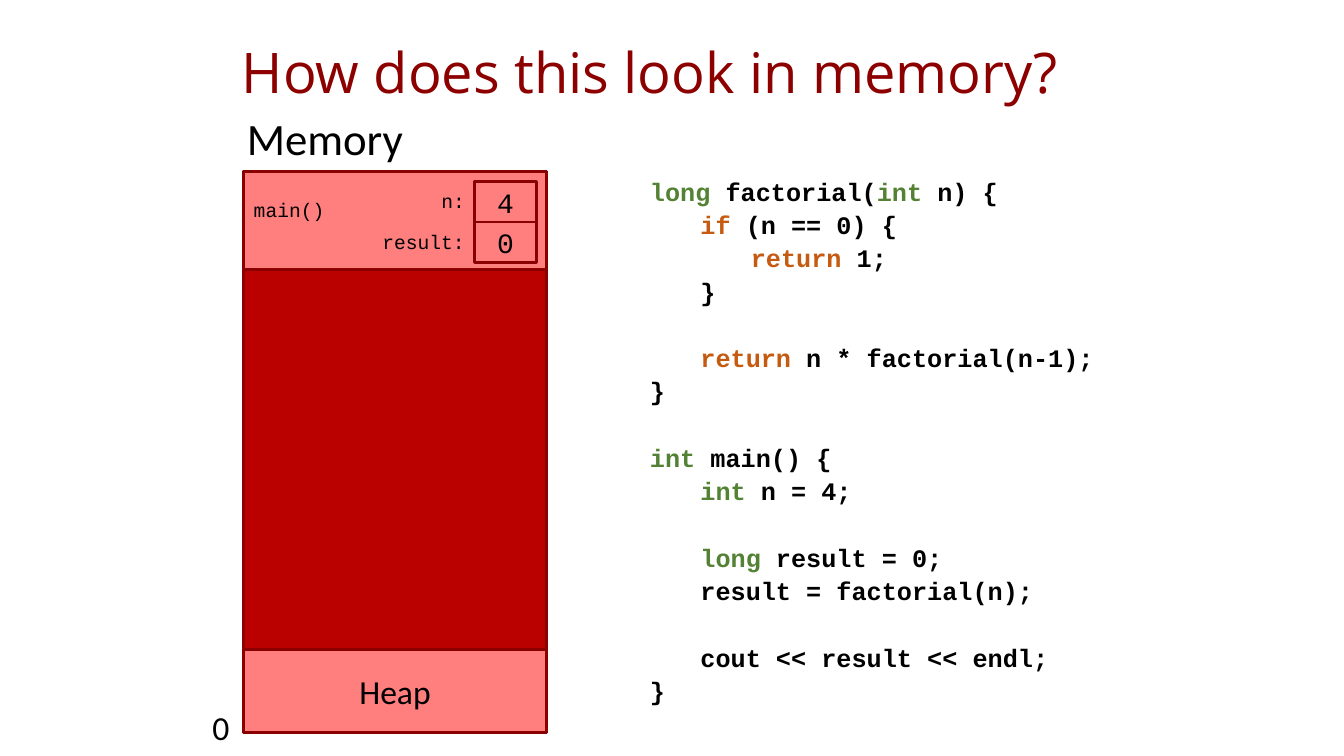
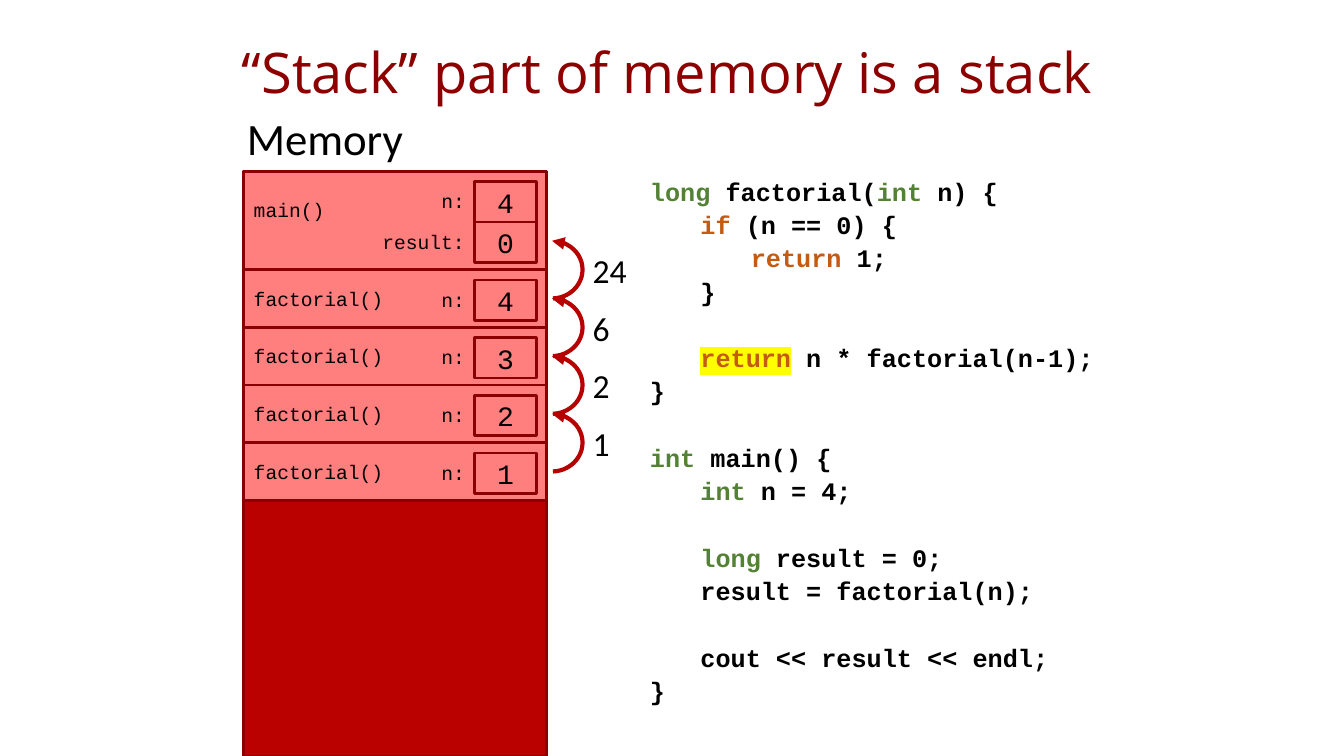
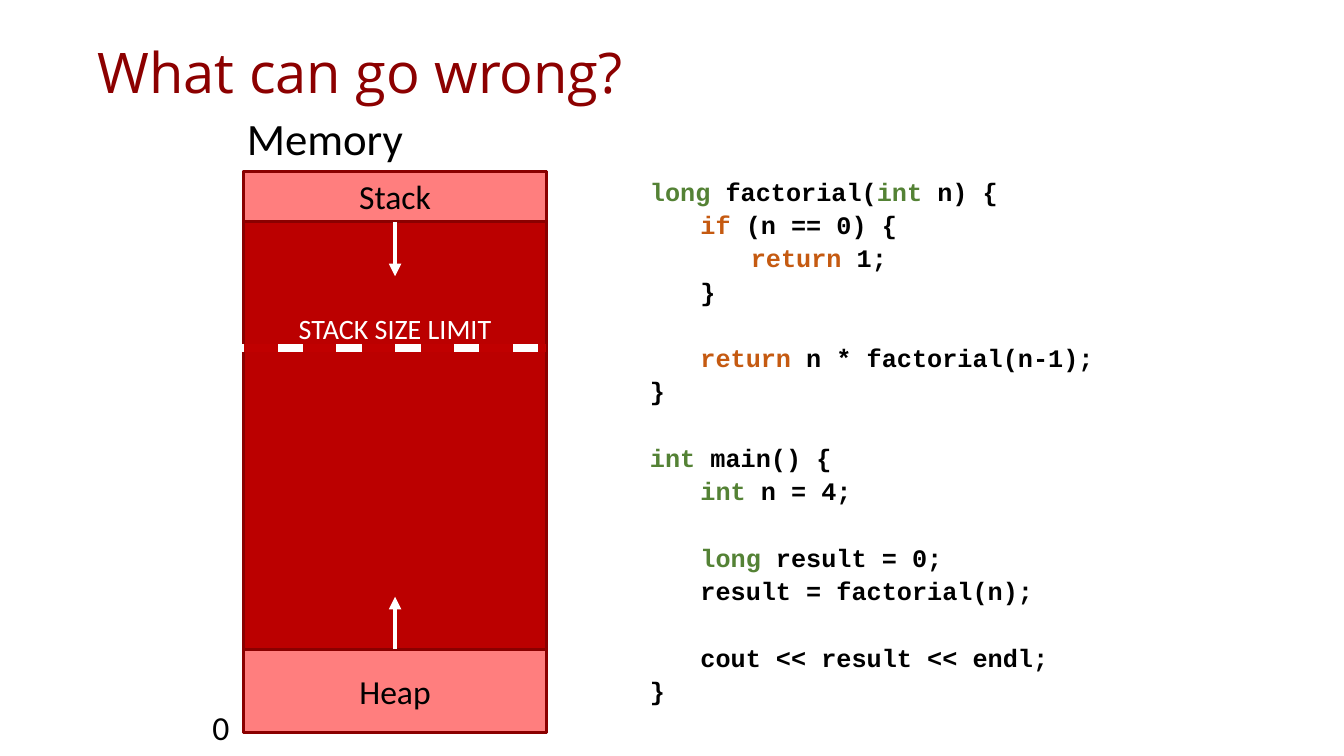
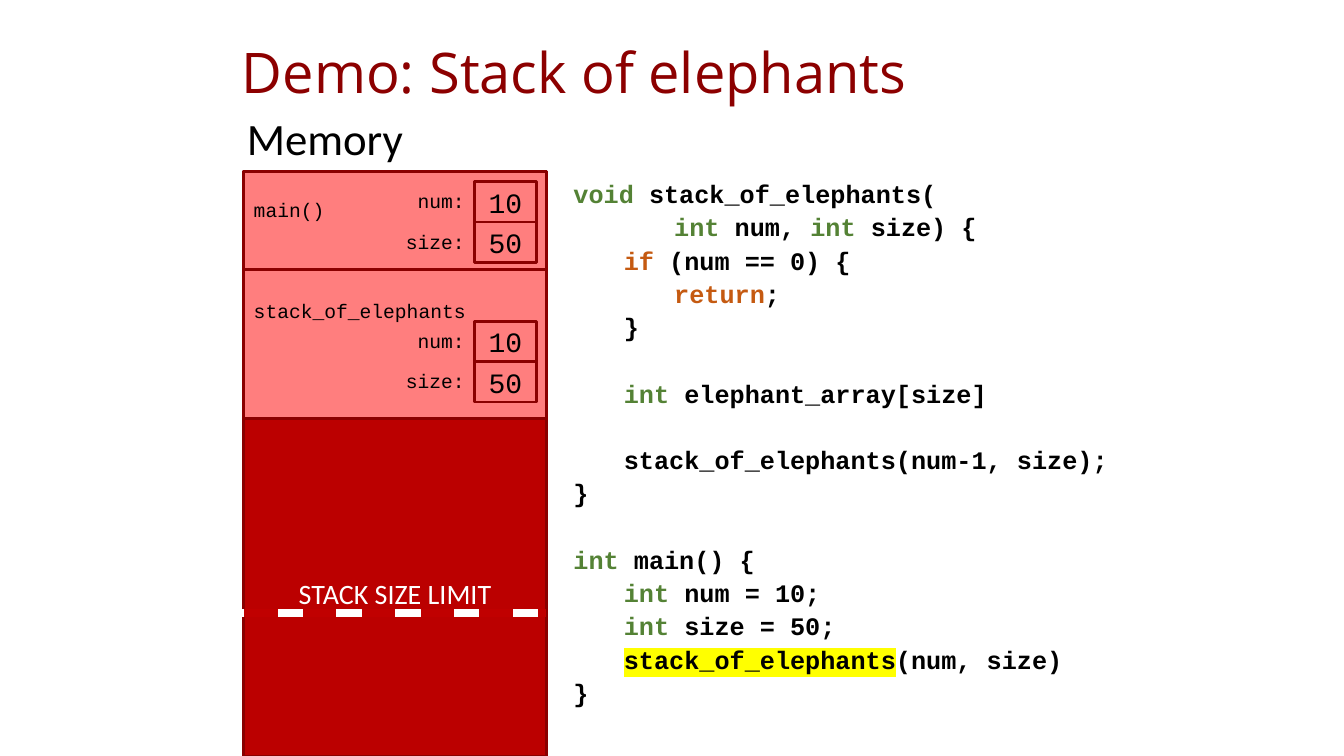
"""Builds four slides on recursion and stack memory."""
from itertools import groupby

from lxml.etree import SubElement
from pptx import Presentation
from pptx.dml.color import RGBColor
from pptx.enum.dml import MSO_LINE
from pptx.enum.shapes import MSO_CONNECTOR, MSO_SHAPE
from pptx.enum.text import MSO_ANCHOR as ANCHOR, PP_ALIGN as ALIGN
from pptx.oxml.ns import qn
from pptx.util import Pt

COLORS = {
    "title": "8C0000", "border": "8A0000", "memory": "BB0000", "frame": "FF7E7E",
    "arc": "B70000", "dash": "C00000", "text": "000000", "white": "FFFFFF",
    "type": "548235", "flow": "C55A11", "mark": "FFFF00",
}
SANS, MONO, HEADING = "Calibri", "Courier New", "Open Sans"
KEYWORDS = {"int": "type", "long": "type", "void": "type", "if": "flow", "return": "flow"}

FACTORIAL = """\
long factorial(int n) {
    if (n == 0) {
        return 1;
    }

    return n * factorial(n-1);
}

int main() {
    int n = 4;

    long result = 0;
    result = factorial(n);

    cout << result << endl;
}"""
ELEPHANTS = """\
void stack_of_elephants(
        int num, int size) {
    if (num == 0) {
        return;
    }

    int elephant_array[size]

    stack_of_elephants(num-1, size);
}

int main() {
    int num = 10;
    int size = 50;
    stack_of_elephants(num, size)
}"""
FACTORIAL_MAIN = [("n:", "4"), ("result:", "0")]
ELEPHANT_VARS = [("num:", "10"), ("size:", "50")]
CALLS = ["4", "3", "2", "1"]
RETURNS = ["24", "6", "2", "1"]

WIDTH, HEIGHT = 960, 540
LEFT, TOP, COL_W = 174.2, 122.4, 216
MIDDLE, RIGHT = LEFT + COL_W / 2, LEFT + COL_W
MEMORY_END, HEAP_TOP = 523.4, 463.7
MAIN_H, CALL_H, STEP = 70.2, 41.2, 41.2
CALLS_TOP = TOP + MAIN_H
CELL_X, CELL_W, CELL_H, CELL_PAD = 339.1, 43.9, 28.8, 7.4
LABEL_X, LABEL_H = 244.8, 27.4
LINE_14 = 15.8
CODE_INDENT, CODE_LINE = 36, 23.75


def rgb(name):
    return RGBColor.from_string(COLORS[name])


def add_run(p, text, size, font, color="text", bold=False, mark=False):
    r = p.add_run()
    r.text = text
    r.font.size, r.font.bold = Pt(size), bold
    r.font.color.rgb = rgb(color)
    if mark:
        highlight = SubElement(r.font._element, qn("a:highlight"))
        SubElement(highlight, qn("a:srgbClr"), val=COLORS["mark"])
    r.font.name = font


def put_text(sp, text, size=24, font=SANS, color="text", align=ALIGN.LEFT,
             anchor=ANCHOR.MIDDLE, spacing=None, before=None, wrap=True,
             margin=None, below=0):
    tf = sp.text_frame
    tf.word_wrap, tf.vertical_anchor = wrap, anchor
    if margin is not None:
        tf.margin_left = tf.margin_right = Pt(margin)
    tf.margin_bottom = Pt(3.6 + below)
    p = tf.paragraphs[0]
    p.alignment, p.line_spacing = align, spacing
    if before:
        p.space_before = Pt(before)
    add_run(p, text, size, font, color)


def add_text(s, x, y, w, h, text, **fmt):
    put_text(s.shapes.add_textbox(Pt(x), Pt(y), Pt(w), Pt(h)), text, **fmt)


def add_box(s, x, y, w, h, fill=None, text="", **fmt):
    sp = s.shapes.add_shape(MSO_SHAPE.RECTANGLE, Pt(x), Pt(y), Pt(w), Pt(h))
    sp.shadow.inherit = False
    if fill:
        sp.fill.solid()
        sp.fill.fore_color.rgb = rgb(fill)
    else:
        sp.fill.background()
    sp.line.color.rgb, sp.line.width = rgb("border"), Pt(2)
    if text:
        put_text(sp, text, **fmt)


def add_arrowhead(line, end):
    SubElement(line._get_or_add_ln(), qn(f"a:{end}End"), type="triangle")


def add_line(s, x1, y1, x2, y2, color, width, dash=None, arrow=False):
    c = s.shapes.add_connector(MSO_CONNECTOR.STRAIGHT, Pt(x1), Pt(y1), Pt(x2), Pt(y2))
    c.line.color.rgb, c.line.width = rgb(color), Pt(width)
    if dash:
        c.line.dash_style = dash
    if arrow:
        add_arrowhead(c.line, "tail")
    SubElement(c._element.spPr, qn("a:effectLst"))


def add_frame(s, top, height, name, variables, offset=CELL_PAD, below=0):
    add_box(s, LEFT, top, COL_W, height, "frame", name, size=14, font=MONO, below=below)
    for i, (label, value) in enumerate(variables):
        y = top + offset + i * CELL_H
        add_box(s, CELL_X, y, CELL_W, CELL_H, None, value,
                size=20, font=MONO, align=ALIGN.CENTER)
        add_text(s, LABEL_X, y, CELL_X - LABEL_X, LABEL_H, label,
                 size=14, font=MONO, align=ALIGN.RIGHT)


def add_main(s, variables):
    add_frame(s, TOP, MAIN_H, "main()", variables, below=LINE_14)


def add_heap(s):
    add_box(s, LEFT, HEAP_TOP, COL_W, MEMORY_END - HEAP_TOP, "frame", "Heap",
            align=ALIGN.CENTER)
    add_text(s, 144.7, 501.1, 26.6, 36, "0", wrap=False, anchor=ANCHOR.TOP)


def add_return(s, top, value):
    sp = s.shapes.add_shape(MSO_SHAPE.ARC, Pt(372.2), Pt(top), Pt(43.9), Pt(CALL_H))
    sp.adjustments[0], sp.adjustments[1] = 162.32, 52.63
    sp.shadow.inherit = False
    sp.fill.background()
    sp.line.color.rgb, sp.line.width = rgb("arc"), Pt(3)
    add_arrowhead(sp.line, "head")
    add_text(s, 416.2, top + 2.9, 51.8, 36, value, anchor=ANCHOR.TOP)


def add_limit(s, y):
    add_line(s, LEFT - 2, y, RIGHT, y, "white", 6)
    add_text(s, LEFT, y - 32, COL_W, 36, "STACK SIZE LIMIT", size=20, color="white",
             align=ALIGN.CENTER)
    add_line(s, LEFT, y, RIGHT, y, "dash", 6, dash=MSO_LINE.DASH)


def add_code(s, x, y, w, code, marked=(None, None)):
    tf = s.shapes.add_textbox(Pt(x), Pt(y), Pt(w), Pt(390.2)).text_frame
    tf.word_wrap = True
    p, gap = tf.paragraphs[0], 0
    for number, line in enumerate(code.split("\n")):
        text = line.strip()
        if not text:
            gap += CODE_LINE
            continue
        if number:
            p = tf.add_paragraph()
        p.line_spacing, p.space_before = 1.1, Pt(gap)
        level = (len(line) - len(text)) // 4
        p._p.get_or_add_pPr().set("marL", str(Pt(level * CODE_INDENT)))
        gap = 0

        def style(word):
            return KEYWORDS.get(word, "text"), (number, word) == marked

        words = ["".join(g) for _, g in groupby(text, lambda c: c.isalnum() or c == "_")]
        for (color, mark), part in groupby(words, style):
            add_run(p, "".join(part), 18, MONO, color, bold=True, mark=mark)


def new_slide(prs, title, bottom, x=169.2, w=620.6):
    s = prs.slides.add_slide(prs.slide_layouts[6])
    add_text(s, x, 20.9, w, 66.2, title, size=40, font=HEADING, color="title",
             spacing=0.9, margin=3.6)
    add_text(s, 169.2, 79.9, 240.5, 50.4, "Memory", size=32, spacing=0.9, before=10,
             anchor=ANCHOR.TOP)
    add_box(s, LEFT, TOP, COL_W, bottom - TOP, "memory")
    return s


def add_factorial(s, marked=(None, None)):
    add_code(s, 457.2, 120.2, 390.2, FACTORIAL, marked)


def main():
    prs = Presentation()
    prs.slide_width, prs.slide_height = Pt(WIDTH), Pt(HEIGHT)

    s = new_slide(prs, "How does this look in memory?", MEMORY_END)
    add_heap(s)
    add_main(s, FACTORIAL_MAIN)
    add_factorial(s)

    s = new_slide(prs, "“Stack” part of memory is a stack", HEIGHT)
    add_main(s, FACTORIAL_MAIN)
    for i, n in enumerate(CALLS):
        add_frame(s, CALLS_TOP + i * STEP, CALL_H, "factorial()", [("n:", n)])
    for i, value in enumerate(RETURNS):
        add_return(s, CALLS_TOP + (i - 0.5) * STEP, value)
    add_factorial(s, (5, "return"))

    s = new_slide(prs, "What can go wrong?", MEMORY_END, x=66.2, w=828)
    add_heap(s)
    add_box(s, LEFT, TOP, COL_W, 36, "frame", "Stack", align=ALIGN.CENTER)
    for start, end in [(TOP + 36, 197.3), (HEAP_TOP, 426.2)]:
        add_line(s, MIDDLE, start, MIDDLE, end, "white", 3, arrow=True)
    add_limit(s, 248.4)
    add_factorial(s)

    s = new_slide(prs, "Demo: Stack of elephants", HEIGHT)
    add_main(s, ELEPHANT_VARS)
    add_frame(s, CALLS_TOP, 106.6, "stack_of_elephants", ELEPHANT_VARS,
              offset=37, below=3 * LINE_14)
    add_limit(s, 437.8)
    add_code(s, 402.5, 121.7, 432.7, ELEPHANTS, (14, "stack_of_elephants"))

    prs.save("out.pptx")


if __name__ == "__main__":
    main()
